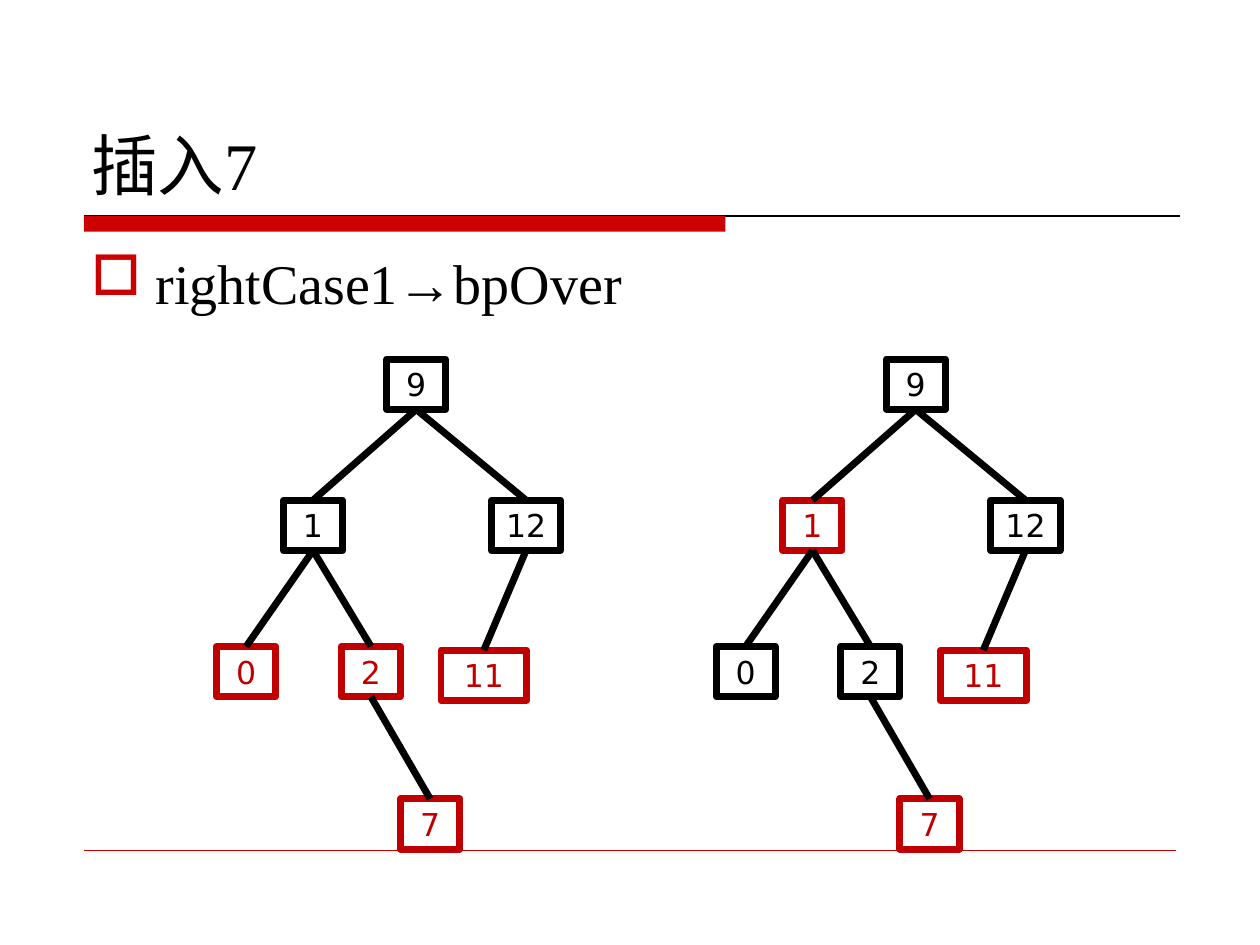
from lxml import etree
from pptx import Presentation, util as u
from pptx.dml.color import RGBColor
from pptx.enum import shapes, text
from pptx.oxml.ns import qn

Pt = u.Pt
HUES = {"ink": "000000", "red": "C00000", "bar": "CC0000"}

# value: left, top, width within the tree
NODES = {
    "9": (97.2, 0, 33.8),
    "1": (38.2, 80.6, 33.8),
    "12": (157, 80.6, 39.6),
    "0": (0, 164.2, 33.8),
    "2": (71.3, 164.2, 33.8),
    "11": (128.2, 166.3, 49),
    "7": (105.1, 251.3, 33.8),
}
EDGES = [("9", "1"), ("9", "12"), ("1", "0"), ("1", "2"), ("12", "11"), ("2", "7")]
HIGH = 28.8


def hue(tone):
    return RGBColor.from_string(HUES[tone])


def style(font, tone, form):
    for key, val in form.items():
        setattr(font, key, val)
    font.color.rgb = hue(tone)


def link(slide, ends, tone, width):
    line = slide.shapes.add_connector(
        shapes.MSO_CONNECTOR.STRAIGHT, *[Pt(v) for v in ends])
    line.line.color.rgb = hue(tone)
    line.line.width = Pt(width)
    etree.SubElement(line._element.spPr, qn("a:effectLst"))
    return line


def rect(slide, box):
    shape = slide.shapes.add_shape(
        shapes.MSO_SHAPE.RECTANGLE, *[Pt(v) for v in box])
    shape.shadow.inherit = False
    return shape


def label(slide, box, words, size, anchor):
    frame = slide.shapes.add_textbox(*[Pt(v) for v in box]).text_frame
    frame.word_wrap = True
    frame.vertical_anchor = anchor
    para = frame.paragraphs[0]
    para.text = words
    style(para.runs[0].font, "ink", {"name": "Times New Roman", "size": Pt(size)})
    return para


def head(slide, box):
    left, top, width, high = box
    label(slide, box, "插入7", 38, text.MSO_ANCHOR.BOTTOM)
    # Rule with a thick bar at its left
    rule = top + high + 3.6
    link(slide, (left + 3, rule, left + width - 0.6, rule), "ink", 0.75)
    bar = rect(slide, (left + 3, rule, 366.5, 9))
    bar.fill.solid()
    bar.fill.fore_color.rgb = hue("bar")
    bar.line.fill.background()


def body(slide, box):
    para = label(slide, box, "rightCase1→bpOver", 32, text.MSO_ANCHOR.TOP)
    # Square bullet with a hanging indent
    props = para._p.get_or_add_pPr()
    props.set("marL", str(Pt(36.7)))
    props.set("indent", str(-Pt(36.7)))
    tint = etree.SubElement(props, qn("a:buClr"))
    etree.SubElement(tint, qn("a:srgbClr"), val=HUES["bar"])
    etree.SubElement(props, qn("a:buChar"), char="□")


def tree(slide, left, top, reds):
    # Nodes
    made = {}
    for key, (x, y, wide) in NODES.items():
        tone = "red" if key in reds else "ink"
        node = made[key] = rect(slide, (left + x, top + y, wide, HIGH))
        node.fill.background()
        node.line.color.rgb = hue(tone)
        node.line.width = Pt(4)
        frame = node.text_frame
        frame.word_wrap = False
        para = frame.paragraphs[0]
        para.text = key
        para.alignment = text.PP_ALIGN.CENTER
        style(para.runs[0].font, tone, {"name": "DejaVu Sans", "size": Pt(18)})
    # Edges from parent to child
    for one, two in EDGES:
        edge = link(slide, (left, top, left, top), "ink", 4)
        edge.begin_connect(made[one], 2)
        edge.end_connect(made[two], 0)


def main():
    deck = Presentation()
    deck.slide_width, deck.slide_height = Pt(720), Pt(540)
    slide = deck.slides.add_slide(deck.slide_layouts[6])
    head(slide, (45, 24, 630, 95.8))
    link(slide, (48, 486, 672, 486), "bar", 0.25)
    body(slide, (45, 138.2, 630, 336))
    tree(slide, 123.8, 205.2, {"0", "2", "11", "7"})
    tree(slide, 409.2, 205.2, {"1", "11", "7"})
    deck.save("out.pptx")


if __name__ == "__main__":
    main()
